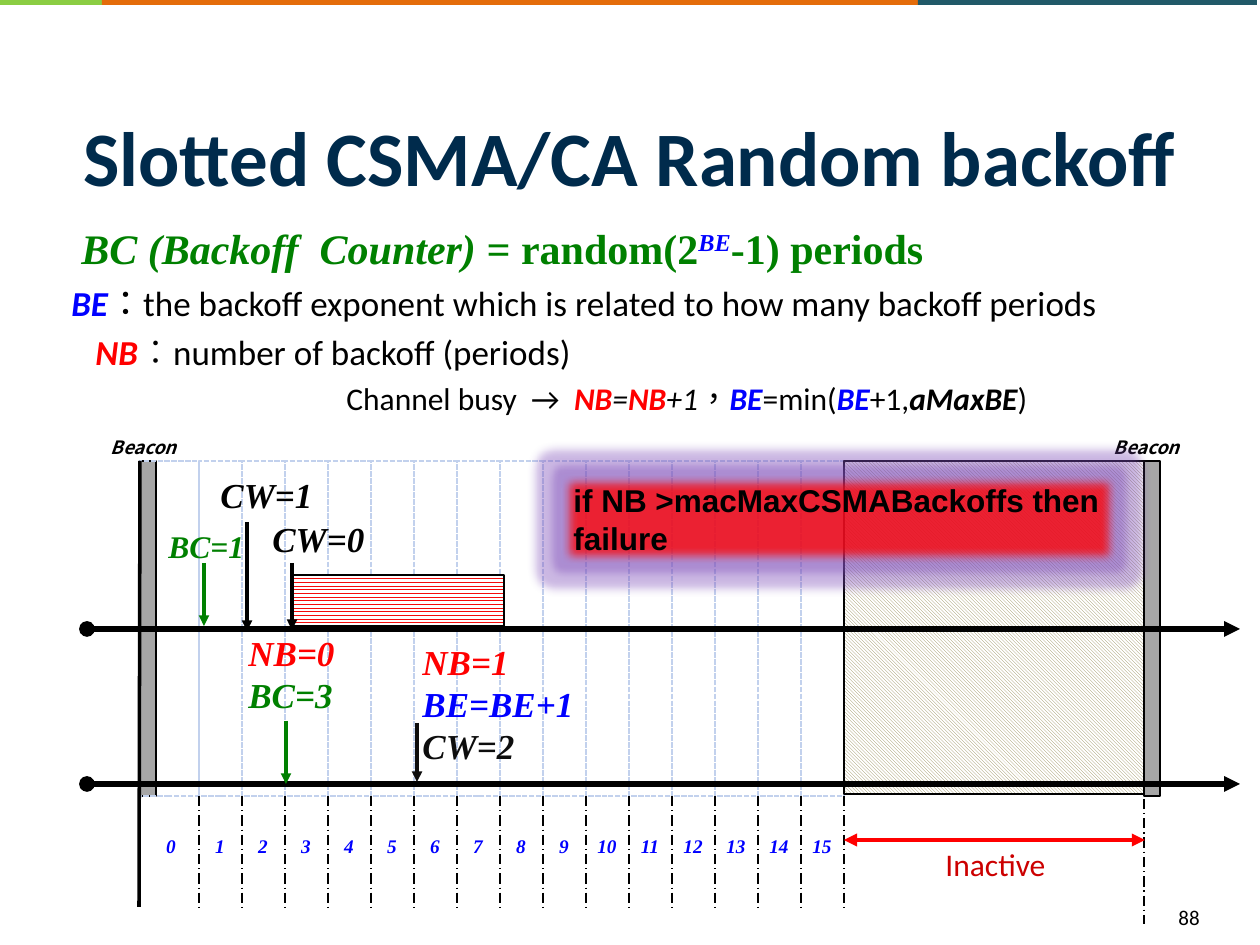
import pptx
import pptx.util
from lxml import etree
from pptx.dml.color import RGBColor
from pptx.enum.dml import MSO_LINE, MSO_PATTERN
from pptx.enum.shapes import MSO_CONNECTOR, MSO_SHAPE
from pptx.enum.text import MSO_ANCHOR, PP_ALIGN
from pptx.oxml.ns import qn

PX = 914400 / 126
BLACK = RGBColor(0x00, 0x00, 0x00)
INK = RGBColor(0x0D, 0x0D, 0x0D)
WHITE = RGBColor(0xFF, 0xFF, 0xFF)
NAVY = RGBColor(0x00, 0x2B, 0x4C)
RED = RGBColor(0xFF, 0x00, 0x00)
DARK_RED = RGBColor(0xCC, 0x00, 0x00)
BLUE = RGBColor(0x00, 0x00, 0xFF)
GREEN = RGBColor(0x00, 0x80, 0x00)
GREY = RGBColor(0xA6, 0xA6, 0xA6)
SLOT = RGBColor(0xC2, 0xD1, 0xED)
KHAKI = RGBColor(0x94, 0x8A, 0x54)
PACKET = RGBColor(0xF5, 0x0B, 0x0B)
ORANGE = RGBColor(0xE4, 0x6C, 0x0A)
TEAL = RGBColor(0x21, 0x59, 0x68)
LIME = RGBColor(0x8B, 0xCD, 0x43)

SANS, SERIF, CJK = "Calibri", "Times New Roman", "Noto Sans CJK SC"
LEFT, CENTER = PP_ALIGN.LEFT, PP_ALIGN.CENTER

prs = pptx.Presentation()
prs.slide_width, prs.slide_height = round(1260 * PX), round(945 * PX)
s = prs.slides.add_slide(prs.slide_layouts[6])


def text(box, paras, size, font, align=LEFT, wrap=True, margins=True):
    """Add a text box; each paragraph is a list of (text, colour, style), style using b and i."""
    tb = s.shapes.add_textbox(*[round(v * PX) for v in box])
    tf = tb.text_frame
    tf.word_wrap = wrap
    if not margins:
        tf.margin_left = tf.margin_right = tf.margin_top = tf.margin_bottom = 0
    for i, runs in enumerate(paras):
        p = tf.paragraphs[0] if i == 0 else tf.add_paragraph()
        p.alignment = align
        for words, color, style in runs:
            r = p.add_run()
            r.text = words
            r.font.size = pptx.util.Pt(size)
            r.font.name = font
            r.font.color.rgb = color
            r.font.bold = "b" in style
            r.font.italic = "i" in style
    return tf


def line(x1, y1, x2, y2, color, width, dash=None, head=None, tail=None):
    c = s.shapes.add_connector(MSO_CONNECTOR.STRAIGHT, *[round(v * PX) for v in (x1, y1, x2, y2)])
    c.line.color.rgb = color
    c.line.width = pptx.util.Pt(width)
    if dash:
        c.line.dash_style = dash
    ln = c.line._get_or_add_ln()
    for tag, kind in (("a:headEnd", head), ("a:tailEnd", tail)):
        if kind:
            etree.SubElement(ln, qn(tag)).set("type", kind)
    etree.SubElement(c._element.spPr, qn("a:effectLst"))


# Top band
for x1, x2, color in ((0, 102, LIME), (102, 918, ORANGE), (918, 1257, TEAL)):
    sp = s.shapes.add_shape(MSO_SHAPE.RECTANGLE, round(x1 * PX), 0, round((x2 - x1) * PX), round(5 * PX))
    sp.shadow.inherit = False
    sp.fill.solid()
    sp.fill.fore_color.rgb = color
    sp.line.fill.background()

# Title and definitions
tf = text((63, 86, 1134, 139), [[("Slotted CSMA/CA Random backoff", NAVY, "b")]], 44, SANS, CENTER)
tf.vertical_anchor = MSO_ANCHOR.MIDDLE

tf = text((20, 275, 1142, 168), [
    [("BE", BLUE, "bi"),
     ("：the backoff exponent which is related to how many backoff periods", BLACK, "")],
    [("NB", RED, "bi"), ("︰number of backoff (periods)", BLACK, "")],
    [("Channel busy  →  ", BLACK, ""), ("NB", RED, "bi"), ("=", BLACK, "i"), ("NB", RED, "bi"),
     ("+1", BLACK, "i"), ("，", BLACK, ""), ("BE", BLUE, "bi"), ("=min(", BLACK, ""),
     ("BE", BLUE, "bi"), ("+1,", BLACK, ""), ("aMaxBE", BLACK, "bi"), (")", BLACK, "")],
], 20, SANS)
for p, indent in zip(tf.paragraphs, (39, 63, 314)):
    p._p.get_or_add_pPr().set("marL", str(round(indent * PX)))
    for r in p.runs:
        if r.text[0] in "：︰，":
            r.font._element.set("lang", "zh-TW")
for p in tf.paragraphs[1:]:
    p.space_before = pptx.util.Pt(4)
for r in tf.paragraphs[2].runs:
    r.font.size = pptx.util.Pt(18)

tf = text((69, 216, 911, 64), [[
    ("BC (Backoff  Counter) = ", GREEN, "bi"), ("random(2", GREEN, "b"),
    ("BE", BLUE, "bi"), ("-1) periods", GREEN, "b")]], 24, SERIF, wrap=False)
tf.paragraphs[0].runs[2].font._element.set("baseline", "30000")

# Superframe: beacons, 16 slots, inactive part, packet on the channel
TOP, BOTTOM, FIRST, STEP = 461, 796, 199, 43
edges = [140] + [FIRST + STEP * i for i in range(16)]
frames = [(140, TOP, 16, 335, "beacon")]
frames += [(a, TOP, b - a, 335, "slot") for a, b in zip(edges, edges[1:])]
frames += [(844, TOP, 300, 333, "inactive"), (1144, TOP, 16, 335, "beacon"),
           (292, 575, 212, 51, "packet")]
patterns = {"inactive": (MSO_PATTERN.LIGHT_DOWNWARD_DIAGONAL, KHAKI),
            "packet": (MSO_PATTERN.ZIG_ZAG, PACKET)}
for x, y, w, h, kind in frames:
    sp = s.shapes.add_shape(MSO_SHAPE.RECTANGLE, *[round(v * PX) for v in (x, y, w, h)])
    sp.shadow.inherit = False
    sp.line.color.rgb = SLOT if kind == "slot" else BLACK
    sp.line.width = pptx.util.Pt(1 if kind == "slot" else 0.75)
    if kind == "slot":
        sp.fill.background()
        sp.line.dash_style = MSO_LINE.SQUARE_DOT
        sp.line._get_or_add_ln().find(qn("a:prstDash")).set("val", "sysDash")
    elif kind == "beacon":
        sp.fill.solid()
        sp.fill.fore_color.rgb = GREY
    else:
        sp.fill.patterned()
        sp.fill.pattern, sp.fill.fore_color.rgb = patterns[kind]
        sp.fill.back_color.rgb = WHITE

for x in edges[1:]:
    line(x, BOTTOM, x, 907, BLACK, 0.75, MSO_LINE.LONG_DASH_DOT)
line(1144, 528, 1144, 924, BLACK, 0.75, MSO_LINE.LONG_DASH_DOT)
line(140, TOP, 139, 907, BLACK, 2)

for i in range(16):
    center = 171 if i == 0 else 220 + STEP * (i - 1)
    text((center - 21, 834, 42, 30), [[(str(i), BLUE, "bi")]], 11, SERIF, CENTER, wrap=False,
         margins=False)

for x in (87, 1090):
    tf = text((x, 427, 120, 34), [[("Beacon", BLACK, "bi"), (" ", BLACK, "bi")]], 10.5, CJK, CENTER,
              margins=False)
    tf.paragraphs[0].runs[1].font.size = pptx.util.Pt(16)

line(844, 840, 1145, 840, RED, 2.5, head="triangle", tail="triangle")
text((887, 845, 217, 83), [[("Inactive", DARK_RED, "")]], 18, SANS, CENTER, margins=False)

# Two time axes with their events
for y in (629, 784):
    line(87, y, 1240, y, BLACK, 3, head="oval", tail="triangle")

for x, y1, y2, color in ((204, 563, 626, GREEN), (247, 522, 631, BLACK), (292, 563, 630, BLACK),
                         (286, 721, 784, GREEN), (417, 723, 782, INK)):
    line(x, y1, x, y2, color, 2, tail="triangle")

for box, size, labels in (
        ((156, 521, 111, 89), 18, [("BC=1", GREEN)]),
        ((208, 467, 118, 55), 20, [("CW=1", BLACK)]),
        ((260, 511, 118, 55), 20, [("CW=0", BLACK)]),
        ((236, 625, 112, 97), 20, [("NB=0", RED), ("BC=3", GREEN)]),
        ((410, 634, 197, 183), 20, [("NB=1", RED), ("BE=BE+1", BLUE), ("CW=2", INK)])):
    text(box, [[(words, color, "bi")] for words, color in labels], size, SERIF, wrap=False)

# Failure rule with glowing, soft edge
sp = s.shapes.add_shape(MSO_SHAPE.RECTANGLE, *[round(v * PX) for v in (561, 475, 556, 89)])
sp.fill.solid()
sp.fill.fore_color.rgb = RED
sp.line.color.rgb = WHITE
sp.line.width = pptx.util.Pt(0.75)
etree.SubElement(sp._element.spPr.find(qn("a:solidFill"))[0], qn("a:alpha")).set("val", "76000")
effects = etree.SubElement(sp._element.spPr, qn("a:effectLst"))
glow = etree.SubElement(effects, qn("a:glow"), rad="139700")
tint = etree.SubElement(glow, qn("a:srgbClr"), val="8064A2")
etree.SubElement(tint, qn("a:satMod"), val="175000")
etree.SubElement(tint, qn("a:alpha"), val="40000")
etree.SubElement(effects, qn("a:softEdge"), rad="63500")
tf = sp.text_frame
tf.word_wrap = True
tf.vertical_anchor = MSO_ANCHOR.TOP
p = tf.paragraphs[0]
p.alignment = LEFT
r = p.add_run()
r.text = "if NB >macMaxCSMABackoffs then failure"
r.font.size = pptx.util.Pt(18)
r.font.name = "Arial"
r.font.bold = True
r.font.color.rgb = BLACK

text((1166, 898, 81, 47), [[("88", BLACK, "")]], 12, SANS)

prs.save("out.pptx")
